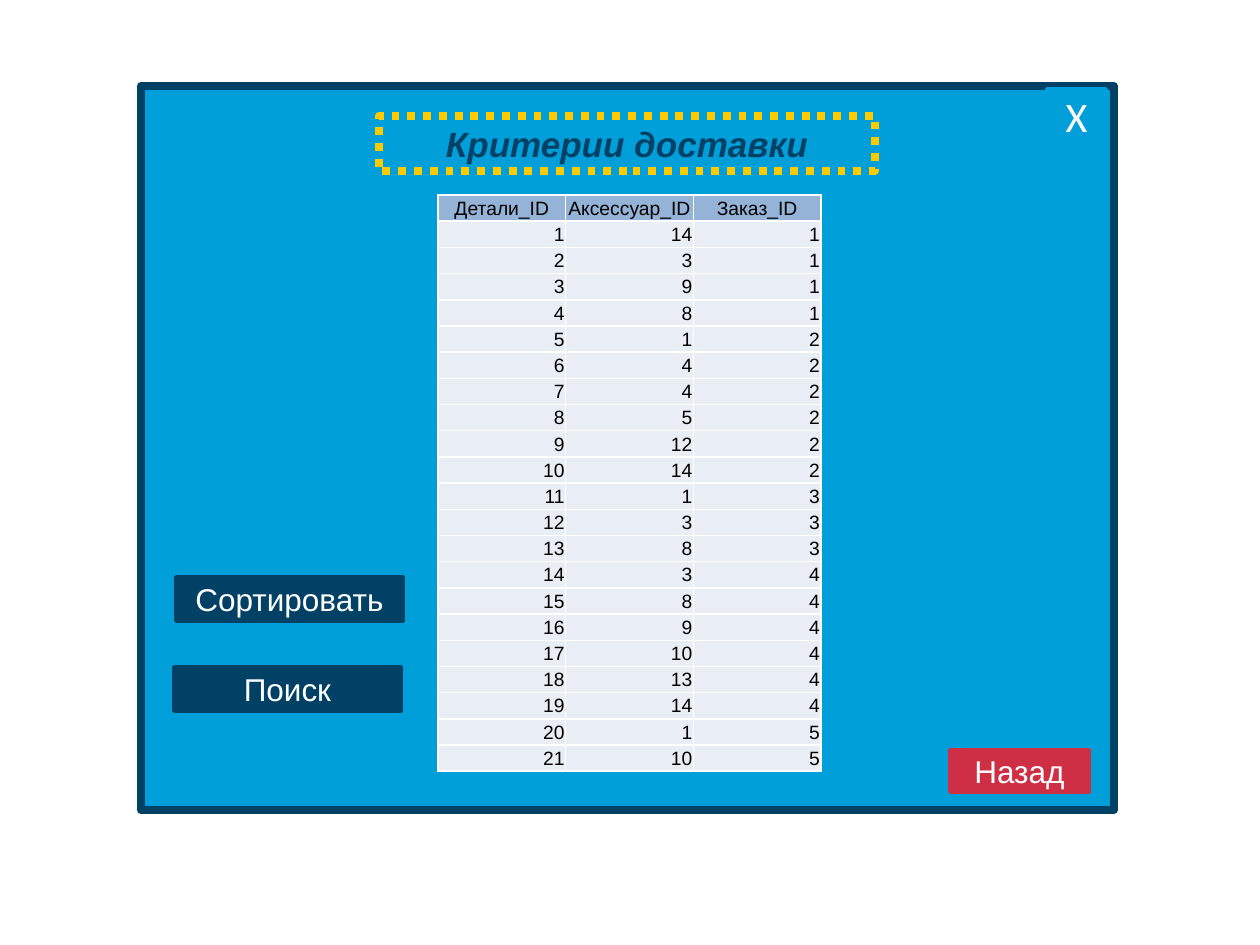
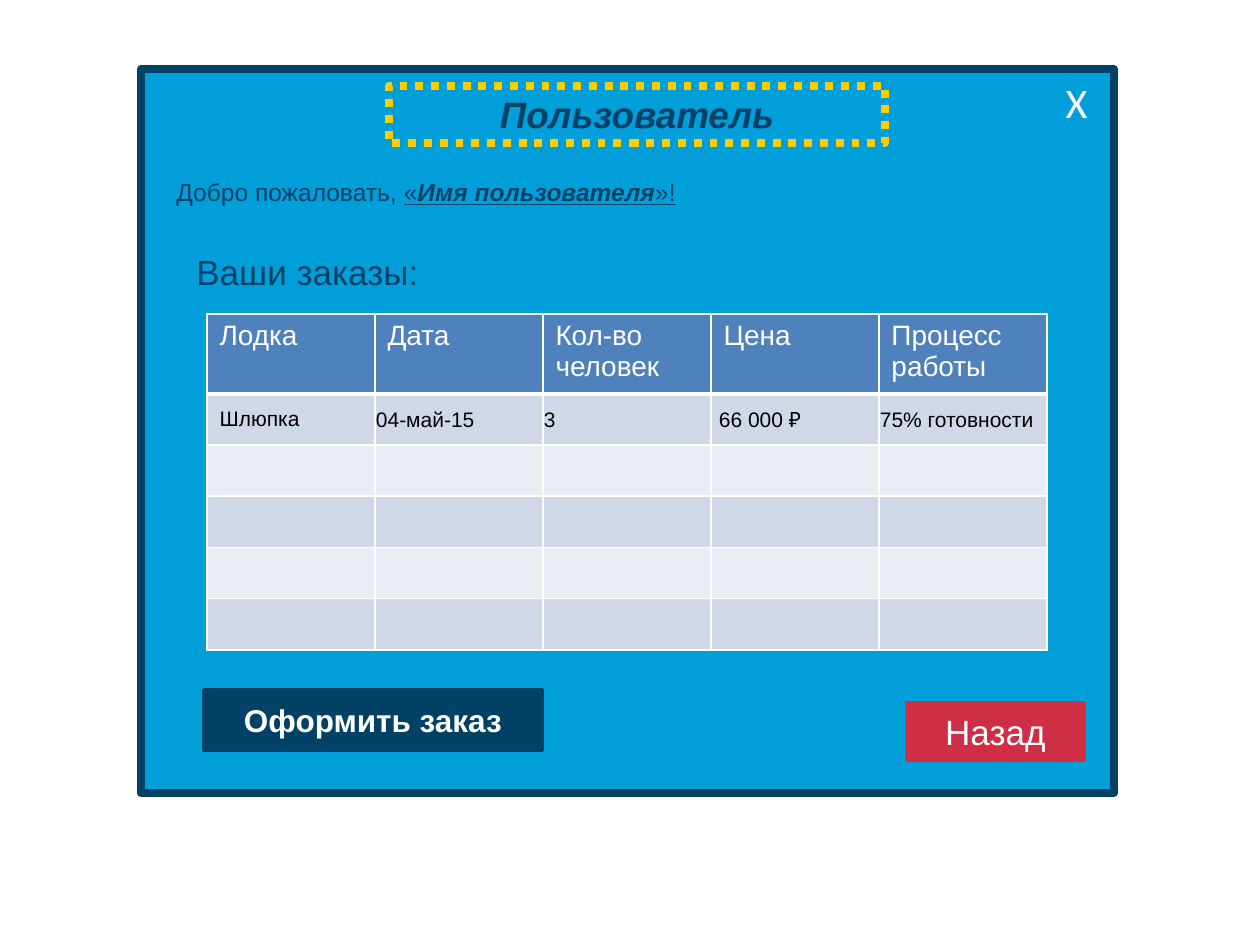
import pptx
import pptx.dml.color
import pptx.enum.dml
import pptx.enum.shapes
import pptx.enum.text
import pptx.oxml
import pptx.oxml.ns
import pptx.util

SCALE = 914400 / 126
BLUE, NAVY, RED, YELLOW = "009FDA", "004165", "CF2F44", "FECB00"
WHITE, BLACK = "FFFFFF", "000000"
HEADER_LIGHT, HEADER_DARK = "95B3D7", "4F81BD"
BAND_LIGHT, BAND_DARK = "E9EDF4", "D0D8E8"
SHAPES = pptx.enum.shapes.MSO_SHAPE
ALIGN = pptx.enum.text.PP_ALIGN
ANCHOR = pptx.enum.text.MSO_ANCHOR
GROW = pptx.enum.text.MSO_AUTO_SIZE.SHAPE_TO_FIT_TEXT
TIGHT = (1, 1, 1, 0)

DELIVERY_HEADER = ["Детали_ID", "Аксессуар_ID", "Заказ_ID"]
ACCESSORIES = [14, 3, 9, 8, 1, 4, 4, 5, 12, 14, 1, 3, 8, 3, 8, 9, 10, 13, 14, 1, 10]
ORDERS = [1] * 4 + [2] * 6 + [3] * 3 + [4] * 6 + [5] * 2
BOAT_HEADER = ["Лодка", "Дата", "Кол-во человек", "Цена", "Процесс работы"]
BOAT_ORDER = ["Шлюпка", "04-май-15", "3", "66 000 ₽", "75% готовности"]
BOAT_MARGINS = [None, TIGHT, TIGHT, (8, 1, 1, 0), TIGHT]


def px(length):
    return pptx.util.Emu(round(length * SCALE))


def color(value):
    return pptx.dml.color.RGBColor.from_string(value)


def style_text(paragraph, size, ink, align=ALIGN.LEFT, bold=False, italic=False, face="Arial"):
    paragraph.alignment = align
    font = paragraph.font
    font.name, font.size = face, pptx.util.Pt(size)
    font.bold, font.italic = bold, italic
    font.color.rgb = color(ink)


def add_box(page, place, fill, line, width, kind=SHAPES.RECTANGLE):
    box = page.shapes.add_shape(kind, *map(px, place))
    box.shadow.inherit = False
    if fill:
        box.fill.solid()
        box.fill.fore_color.rgb = color(fill)
    else:
        box.fill.background()
    box.line.color.rgb = color(line)
    box.line.width = pptx.util.Pt(width)
    return box


def add_button(page, place, text, fill, size=18, bold=False, face="Arial", kind=SHAPES.RECTANGLE):
    box = add_box(page, place, fill, fill, 2, kind)
    box.text_frame.text = text
    box.text_frame.vertical_anchor = ANCHOR.MIDDLE
    style_text(box.text_frame.paragraphs[0], size, WHITE, ALIGN.CENTER, bold, face=face)


def add_title(page, place, text, size):
    box = add_box(page, place, None, YELLOW, 4.5)
    box.line.dash_style = pptx.enum.dml.MSO_LINE.ROUND_DOT
    frame = box.text_frame
    frame.text = text
    frame.vertical_anchor = ANCHOR.TOP
    frame.auto_size = GROW
    style_text(frame.paragraphs[0], size, NAVY, ALIGN.CENTER, bold=True, italic=True)


def add_label(page, place, size, spans):
    frame = page.shapes.add_textbox(*map(px, place)).text_frame
    frame.word_wrap = True
    frame.auto_size = GROW
    paragraph = frame.paragraphs[0]
    style_text(paragraph, size, NAVY)
    for text, underline, strong in spans:
        span = paragraph.add_run()
        span.text = text
        if underline:
            span.font.underline = True
        if strong:
            span.font.bold = span.font.italic = True


def add_window(page, top):
    add_box(page, (141, top, 973, 724), BLUE, NAVY, 4.5)


def add_close_button(page, top):
    add_button(page, (1047, top, 59, 53), "Х", BLUE, 24, face="Calibri",
               kind=SHAPES.ACTION_BUTTON_CUSTOM)


def set_borders(cell, bottom):
    properties = cell._tc.get_or_add_tcPr()
    for index, (side, points) in enumerate([("L", 1), ("R", 1), ("T", 1), ("B", bottom)]):
        border = pptx.oxml.parse_xml(
            f'<a:ln{side} {pptx.oxml.ns.nsdecls("a")} w="{points * 12700}"><a:solidFill>'
            f'<a:srgbClr val="{WHITE}"/></a:solidFill></a:ln{side}>')
        properties.insert(index, border)


def fill_cell(cell, fill, bottom=1, margins=None, anchor=ANCHOR.TOP):
    cell.fill.solid()
    cell.fill.fore_color.rgb = color(fill)
    set_borders(cell, bottom)
    cell.vertical_anchor = anchor
    if margins:
        cell.margin_left, cell.margin_top, cell.margin_right, cell.margin_bottom = map(px, margins)


def write_cell(cell, text, size, ink, align=ALIGN.LEFT):
    cell.text = str(text)
    style_text(cell.text_frame.paragraphs[0], size, ink, align)


def add_grid(page, place, rows, columns, header_height):
    left, top, width, height = place
    table = page.shapes.add_table(rows, columns, *map(px, place)).table
    table.first_row = table.horz_banding = False
    for column in table.columns:
        column.width = px(width / columns)
    for row in table.rows:
        row.height = px((height - header_height) / (rows - 1))
    table.rows[0].height = px(header_height)
    return table


def add_delivery_table(page):
    body = zip(range(1, len(ORDERS) + 1), ACCESSORIES, ORDERS)
    rows = [DELIVERY_HEADER, *body]
    table = add_grid(page, (438, 195, 383, 577), len(rows), 3, 577 / len(rows))
    for r, values in enumerate(rows):
        for c, value in enumerate(values):
            cell = table.cell(r, c)
            fill_cell(cell, BAND_LIGHT if r else HEADER_LIGHT, margins=TIGHT, anchor=ANCHOR.MIDDLE)
            write_cell(cell, value, 11, BLACK, ALIGN.RIGHT if r else ALIGN.CENTER)


def add_boat_table(page):
    table = add_grid(page, (207, 314, 840, 335), 6, 5, 79)
    for c, heading in enumerate(BOAT_HEADER):
        fill_cell(table.cell(0, c), HEADER_DARK, bottom=3)
        write_cell(table.cell(0, c), heading, 16, WHITE)
        fill_cell(table.cell(1, c), BAND_DARK, margins=BOAT_MARGINS[c], anchor=ANCHOR.MIDDLE)
        write_cell(table.cell(1, c), BOAT_ORDER[c], 12, BLACK)
        for r in range(2, 6):
            fill_cell(table.cell(r, c), BAND_DARK if r % 2 else BAND_LIGHT)


def build_delivery(page):
    add_window(page, 86)
    add_button(page, (950, 750, 139, 42), "Назад", RED)
    add_title(page, (379, 116, 496, 55), "Критерии доставки", 20)
    add_delivery_table(page)
    add_button(page, (174, 667, 227, 44), "Поиск", NAVY)
    add_close_button(page, 89)
    add_button(page, (176, 577, 227, 44), "Сортировать", NAVY)


def build_user(page):
    add_window(page, 69)
    add_title(page, (389, 86, 496, 57), "Пользователь", 21)
    add_label(page, (164, 171, 605, 43), 14, [
        ("Добро пожаловать, ", False, False),
        ("«", True, False),
        ("Имя пользователя", True, True),
        ("»!", True, False)])
    add_label(page, (184, 244, 318, 55), 20, [("Ваши заказы:", False, False)])
    add_boat_table(page)
    add_button(page, (204, 690, 338, 60), "Оформить заказ", NAVY, bold=True)
    add_button(page, (907, 703, 177, 57), "Назад", RED, 20)
    add_close_button(page, 75)


def main():
    deck = pptx.Presentation()
    deck.slide_width, deck.slide_height = px(1260), px(945)
    for build in (build_delivery, build_user):
        build(deck.slides.add_slide(deck.slide_layouts[6]))
    deck.save("out.pptx")


main()
